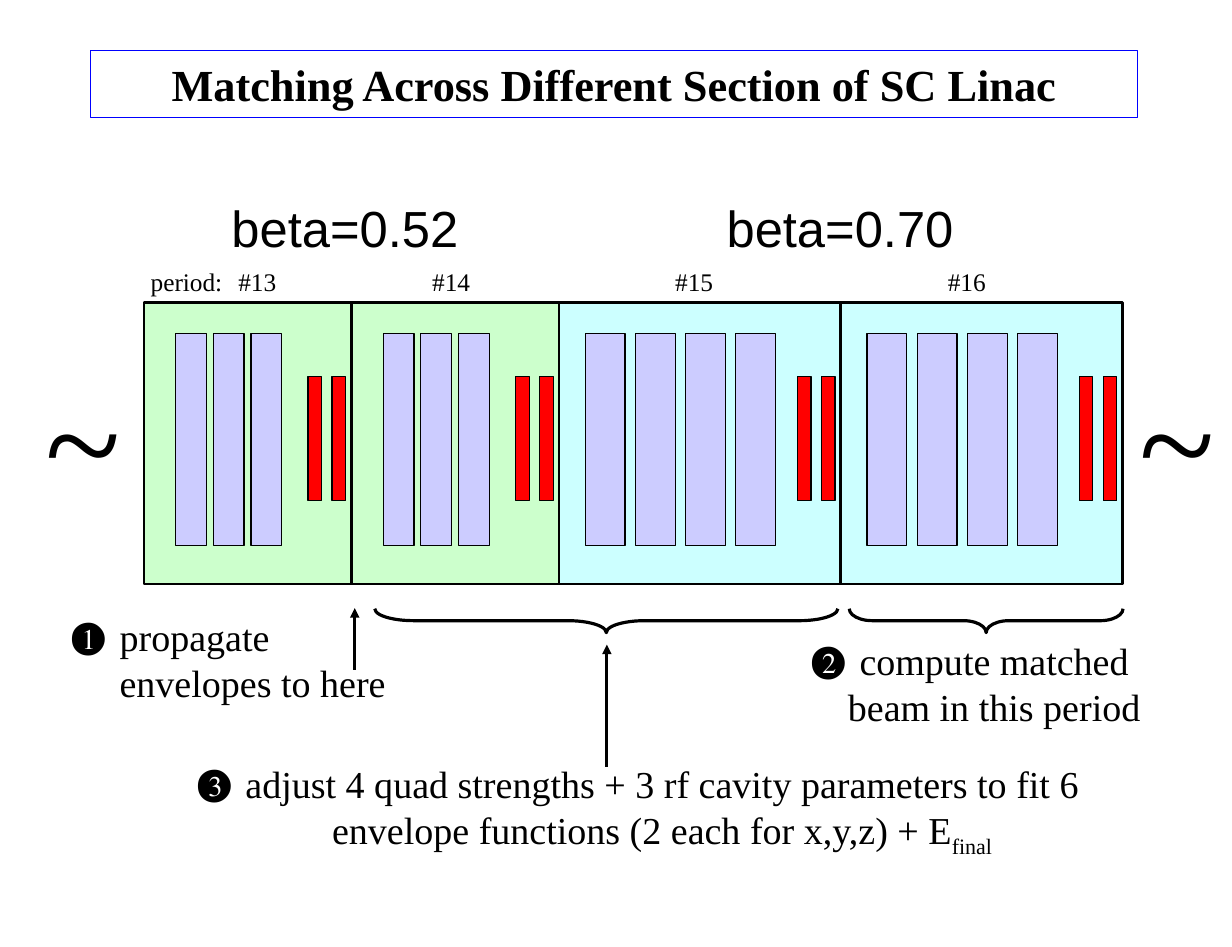
from lxml.etree import SubElement
from pptx import Presentation
from pptx.dml.color import RGBColor
from pptx.enum.shapes import MSO_CONNECTOR, MSO_SHAPE
from pptx.enum.text import MSO_ANCHOR, MSO_AUTO_SIZE, PP_ALIGN
from pptx.oxml.ns import qn
from pptx.util import Pt

PX = 9144  # 100 px to the inch
SERIF = "Times New Roman"
COLORS = {
    "ink": "000000",
    "frame": "0000FF",
    "low": "CCFFCC",
    "high": "CCFFFF",
    "cavity": "CCCCFF",
    "quad": "FF0000",
}


def px(*vals):
    return [val * PX for val in vals]


def rgb(name):
    return RGBColor.from_string(COLORS[name])


def style(para, size, face=SERIF, align=PP_ALIGN.CENTER, bold=False):
    para.alignment = align
    font = para.font
    font.name, font.size, font.bold = face, Pt(size), bold
    font.color.rgb = rgb("ink")


def add_title(slide, text):
    title = slide.shapes.title
    title.left, title.top, title.width, title.height = px(79, 44, 918, 59)
    title.line.color.rgb = rgb("frame")
    title.line.width = Pt(0.75)
    frame = title.text_frame
    frame.text = text
    frame.auto_size = MSO_AUTO_SIZE.NONE
    frame.vertical_anchor = MSO_ANCHOR.MIDDLE
    frame.margin_left, frame.margin_right = px(11, 11)
    frame.margin_top, frame.margin_bottom = px(6, 6)
    style(frame.paragraphs[0], 28, bold=True)


def add_rect(slide, box, color, weight=0.75):
    rect = slide.shapes.add_shape(MSO_SHAPE.RECTANGLE, *px(*box))
    rect.shadow.inherit = False
    rect.fill.solid()
    rect.fill.fore_color.rgb = rgb(color)
    rect.line.color.rgb = rgb("ink")
    rect.line.width = Pt(weight)


def add_label(slide, box, text, size, face=SERIF):
    frame = slide.shapes.add_textbox(*px(*box)).text_frame
    frame.word_wrap = False
    frame.vertical_anchor = MSO_ANCHOR.MIDDLE
    frame.text = text
    style(frame.paragraphs[0], size, face)


def add_step(slide, box, mark, text, align=PP_ALIGN.CENTER, sub=""):
    frame = slide.shapes.add_textbox(*px(*box)).text_frame
    frame.word_wrap = True
    para = frame.paragraphs[0]
    para.add_run().text = text
    if sub:
        run = para.add_run()
        run.text = sub
        run._r.get_or_add_rPr().set("baseline", "-25000")
    # Numbered bullet with a hanging indent
    props = para._p.get_or_add_pPr()
    props.set("marL", str(42 * PX))
    props.set("indent", str(-42 * PX))
    tint = SubElement(props, qn("a:buClr"))
    SubElement(tint, qn("a:srgbClr")).set("val", COLORS["ink"])
    SubElement(props, qn("a:buFont")).set("typeface", SERIF)
    SubElement(props, qn("a:buChar")).set("char", mark)
    style(para, 24, align=align)


def add_arrow(slide, x, low, top):
    arrow = slide.shapes.add_connector(
        MSO_CONNECTOR.STRAIGHT, *px(x, low, x, top))
    arrow.line.color.rgb = rgb("ink")
    arrow.line.width = Pt(2)
    SubElement(arrow.line._get_or_add_ln(), qn("a:tailEnd")).set(
        "type", "triangle")
    SubElement(arrow._element.spPr, qn("a:effectLst"))


def add_brace(slide, left, top, span, depth=21):
    # Turned a quarter, so the box is centred on its visible place
    x = left + (span - depth) // 2
    y = top - (span - depth) // 2
    brace = slide.shapes.add_shape(
        MSO_SHAPE.RIGHT_BRACE, *px(x, y, depth, span))
    brace.rotation = 90
    brace.adjustments[0] = span / depth / 12
    brace.shadow.inherit = False
    brace.fill.background()
    brace.line.color.rgb = rgb("ink")
    brace.line.width = Pt(2)


def add_period(slide, left, width, color, count, inset, thick, step):
    add_rect(slide, (left, 265, width, 247), color, 1.5)
    for i in range(count):
        add_rect(slide, (left + inset + i * step, 292, thick, 186), "cavity")
    for i in range(2):
        add_rect(slide, (left + width - 38 + i * 21, 330, 12, 109), "quad")


def main():
    deck = Presentation()
    deck.slide_width, deck.slide_height = px(1080, 830)
    slide = deck.slides.add_slide(deck.slide_layouts[5])
    add_title(slide, "Matching Across Different Section of SC Linac")

    # Linac periods, side by side
    low = (182, "low", 3, 28, 27, 33)
    high = (247, "high", 4, 23, 35, 44)
    left = 126
    for kind in (low, low, high, high):
        add_period(slide, left, *kind)
        left += kind[0]

    # Labels above and beside the periods
    for x in (30, 989):
        add_label(slide, (x, 304, 86, 157), "~", 88)
    for x, text in ((193, "beta=0.52"), (627, "beta=0.70")):
        add_label(slide, (x, 167, 219, 64), text, 32, "Arial")
    add_label(slide, (122, 228, 83, 37), "period:", 16)
    for num, x in enumerate((199, 369, 582, 821), 13):
        add_label(slide, (x, 228, 53, 37), f"#{num}", 16)

    # Braces and arrows
    add_brace(slide, 329, 533, 406)
    add_brace(slide, 745, 533, 240)
    add_arrow(slide, 311, 587, 533)
    add_arrow(slide, 532, 672, 565)

    # Matching steps
    add_step(slide, (53, 533, 328, 129), "❶",
             "propagate envelopes to here", PP_ALIGN.LEFT)
    add_step(slide, (680, 554, 341, 107), "❷",
             "compute matched beam in this period")
    add_step(slide, (163, 662, 793, 107), "❸",
             "adjust 4 quad strengths + 3 rf cavity parameters to fit 6 "
             "envelope functions (2 each for x,y,z) + E", sub="final")

    deck.save("out.pptx")


if __name__ == "__main__":
    main()
